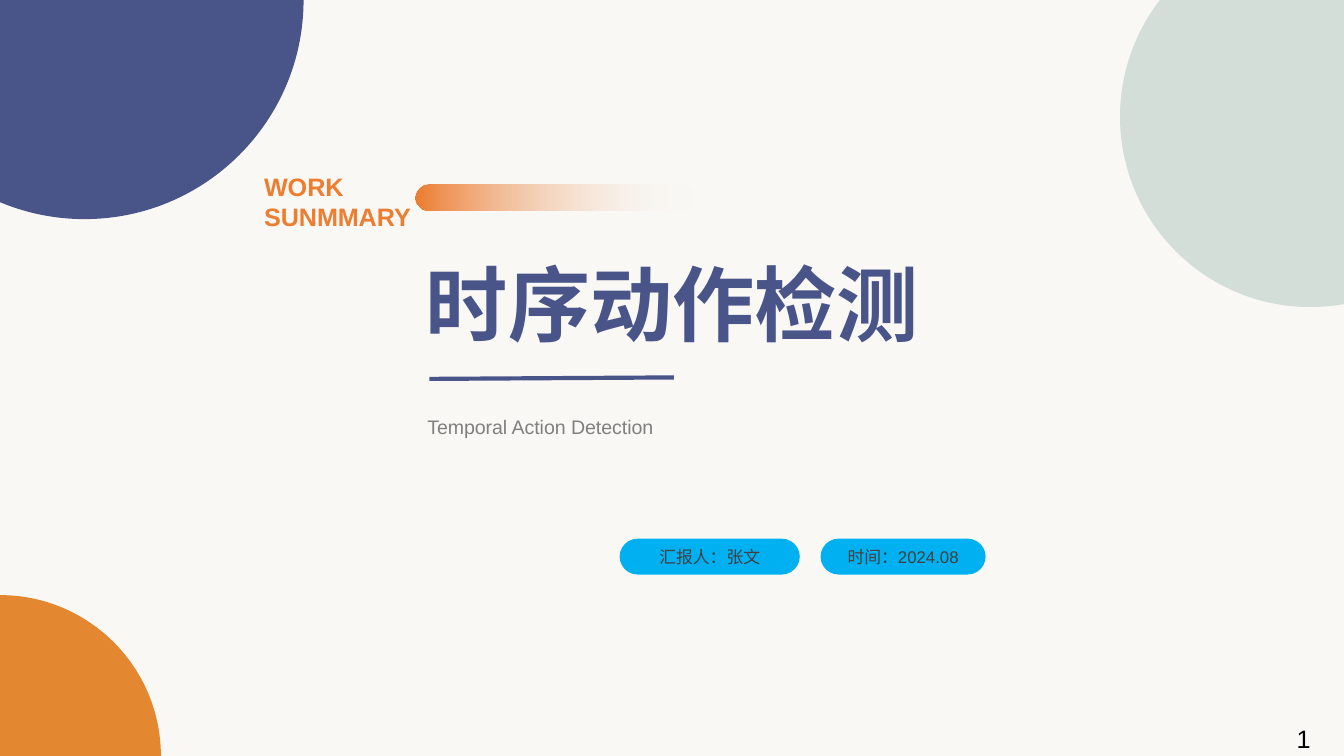
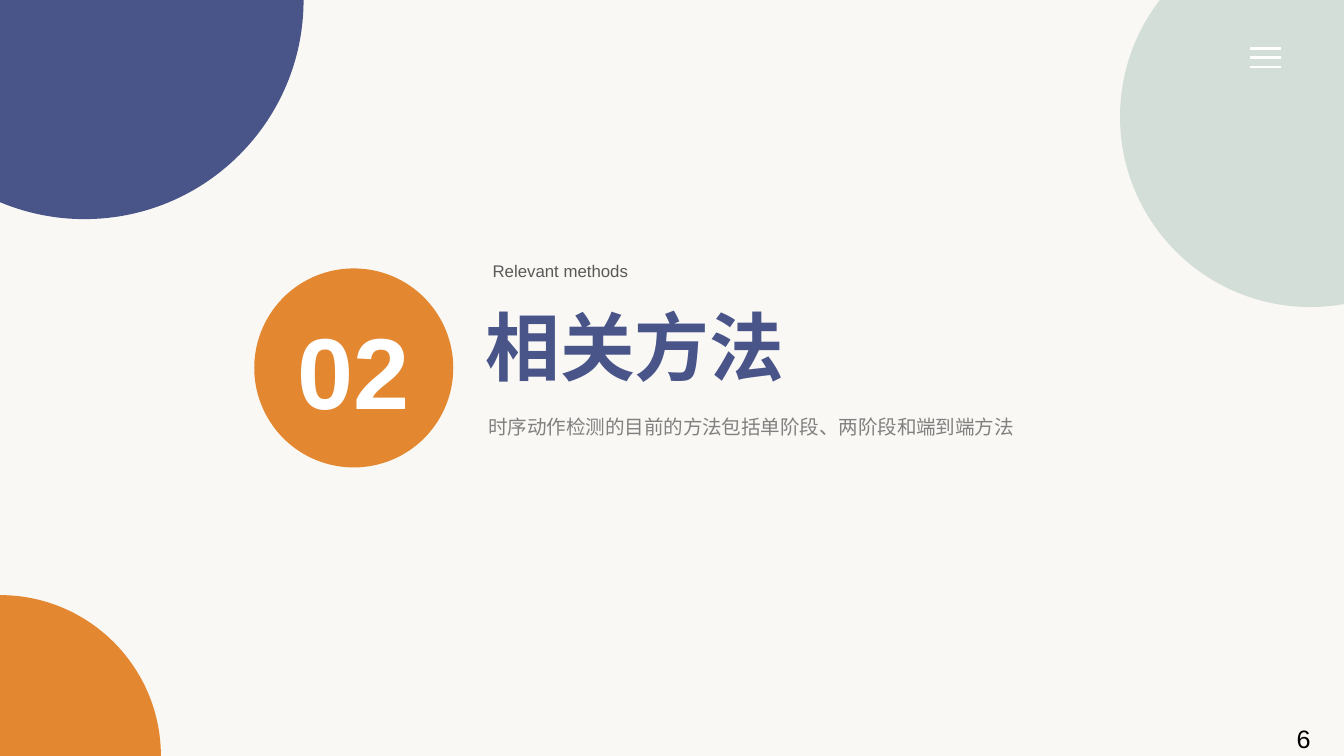
import math
from dataclasses import dataclass

from lxml import etree
from pptx import Presentation
from pptx.dml.color import RGBColor
from pptx.enum import shapes, text
from pptx.oxml import ns
from pptx.util import Pt

# Shared style
CREAM = RGBColor(0xFA, 0xF8, 0xF4)
INDIGO = RGBColor(0x49, 0x55, 0x89)
AMBER = RGBColor(0xE3, 0x87, 0x30)
MINT = RGBColor(0xD3, 0xDE, 0xD8)
ORANGE = RGBColor(0xED, 0x7D, 0x31)
MIST = RGBColor(0xF5, 0xF6, 0xFA)
SKY = RGBColor(0x00, 0xB0, 0xF0)
WHITE = RGBColor(0xFF, 0xFF, 0xFF)
BLACK = RGBColor(0x00, 0x00, 0x00)
GRAY = RGBColor(0x80, 0x80, 0x80)
DARK_GRAY = RGBColor(0x59, 0x59, 0x59)
CHARCOAL = RGBColor(0x40, 0x40, 0x40)

FONT = "Arial"
WIDTH, HEIGHT = 720, 405
LEFT, CENTER = text.PP_ALIGN.LEFT, text.PP_ALIGN.CENTER
TITLE_ONLY = 5


@dataclass(frozen=True)
class Frame:
    left: float
    top: float
    width: float
    height: float

    def lengths(self) -> tuple:
        return Pt(self.left), Pt(self.top), Pt(self.width), Pt(self.height)


@dataclass(frozen=True)
class Style:
    size: float
    color: RGBColor
    bold: bool = False
    align: text.PP_ALIGN = LEFT
    spacing: float = 1.0


@dataclass(frozen=True)
class CornerDisc:
    """A disc cut off by one slide corner; angles run clockwise from the right."""
    corner: tuple
    center: tuple
    radius: float
    angles: tuple
    color: RGBColor

    def point(self, angle: float, tangent: float = 0) -> tuple:
        """Point on the rim, moved along the tangent by a share of the radius."""
        turn = math.radians(angle)
        across = math.cos(turn) - tangent * math.sin(turn)
        down = math.sin(turn) + tangent * math.cos(turn)
        return (Pt(self.center[0] + self.radius * across),
                Pt(self.center[1] + self.radius * down))


@dataclass(frozen=True)
class Pill:
    caption: str
    left: float
    width: float


CORNER_DISCS = (
    CornerDisc((0, 0), (45.2, 0), 117.4, (0, 90, 112.65), INDIGO),
    CornerDisc((0, HEIGHT), (0, HEIGHT), 86.2, (270, 360), AMBER),
    CornerDisc((WIDTH, 0), (702, 62.5), 102, (79.84, 90, 180, 217.79), MINT),
)
PILLS = (Pill("汇报人：张文", 332, 96.5), Pill("时间：2024.08", 439.6, 88.4))

SUBTITLE = Style(10.5, GRAY, spacing=1.5)
PILL_TEXT = Style(9, CHARCOAL, align=CENTER)
KICKER = Style(13.5, ORANGE, bold=True)
OVERLINE = Style(9, DARK_GRAY)
NUMERAL = Style(54, WHITE, bold=True, align=CENTER)
PAGE_NUMBER = Style(13.5, BLACK)


# Drawing helpers
def write(box, content: str, style: Style, wrap: bool = True) -> None:
    frame = box.text_frame
    frame.text = content
    frame.word_wrap = wrap
    for para in frame.paragraphs:
        para.alignment = style.align
        para.line_spacing = style.spacing
        para.font.name = FONT
        para.font.size = Pt(style.size)
        para.font.bold = style.bold
        para.font.color.rgb = style.color


def add_text(page, content: str, frame: Frame, style: Style, wrap: bool = True) -> None:
    write(page.shapes.add_textbox(*frame.lengths()), content, style, wrap)


def set_title(page, content: str, frame: Frame, size: float) -> None:
    title = page.shapes.title
    title.left, title.top, title.width, title.height = frame.lengths()
    write(title, content, Style(size, INDIGO, bold=True))
    title.text_frame.margin_right = 0
    title.text_frame.vertical_anchor = text.MSO_ANCHOR.TOP
    title.text_frame.auto_size = text.MSO_AUTO_SIZE.NONE


def flatten(shape, color: RGBColor) -> None:
    shape.shadow.inherit = False
    shape.line.fill.background()
    shape.fill.solid()
    shape.fill.fore_color.rgb = color


def add_filled(page, kind: shapes.MSO_SHAPE, frame: Frame, color: RGBColor):
    shape = page.shapes.add_shape(kind, *frame.lengths())
    flatten(shape, color)
    return shape


def add_capsule(page, frame: Frame, color: RGBColor):
    capsule = add_filled(page, shapes.MSO_SHAPE.ROUNDED_RECTANGLE, frame, color)
    capsule.adjustments[0] = 0.5
    return capsule


def add_line(page, start: tuple, end: tuple, color: RGBColor, weight: float) -> None:
    line = page.shapes.add_connector(
        shapes.MSO_CONNECTOR.STRAIGHT, *(Pt(value) for value in start + end))
    line.line.color.rgb = color
    line.line.width = Pt(weight)
    etree.SubElement(line.element.spPr, ns.qn("a:effectLst"))


def add_corner_disc(page, disc: CornerDisc):
    builder = page.shapes.build_freeform(*(Pt(value) for value in disc.corner))
    builder.add_line_segments([disc.point(angle) for angle in disc.angles], close=True)
    shape = builder.convert_to_shape()
    flatten(shape, disc.color)

    # Bend each rim segment into a Bézier arc
    segments = list(shape.element.iter(ns.qn("a:lnTo")))[1:]
    for segment, start, end in zip(segments, disc.angles, disc.angles[1:]):
        reach = 4 / 3 * math.tan(math.radians(end - start) / 4)
        curve = etree.Element(ns.qn("a:cubicBezTo"))
        for x, y in (disc.point(start, reach), disc.point(end, -reach), disc.point(end)):
            etree.SubElement(curve, ns.qn("a:pt"),
                             x=str(int(x - shape.left)), y=str(int(y - shape.top)))
        segment.getparent().replace(segment, curve)
    return shape


# Shared backdrop, kept on the slide master
def dress_master(deck, page) -> None:
    master = deck.slide_master
    master.background.fill.solid()
    master.background.fill.fore_color.rgb = CREAM
    for number, disc in enumerate(CORNER_DISCS, start=101):
        element = add_corner_disc(page, disc).element
        element.nvSpPr.cNvPr.set("id", str(number))
        master.shapes.element.append(element)


def add_page(deck):
    return deck.slides.add_slide(deck.slide_layouts[TITLE_ONLY])


def add_page_number(page, number: int) -> None:
    add_text(page, str(number), Frame(687.6, 383.8, 29.5, 23.8), PAGE_NUMBER)


# Cover
def build_cover(page) -> None:
    set_title(page, "时序动作检测", Frame(221, 132.2, 278.6, 60.5), 44)
    add_text(page, "Temporal Action Detection", Frame(221.8, 212.4, 221.8, 26), SUBTITLE)
    add_line(page, (230, 203), (361, 202.2), INDIGO, 2.25)

    for pill in PILLS:
        capsule = add_capsule(page, Frame(pill.left, 288.6, pill.width, 19.2), SKY)
        write(capsule, pill.caption, PILL_TEXT)
        capsule.text_frame.vertical_anchor = text.MSO_ANCHOR.MIDDLE

    # Kicker and its fading bar
    add_text(page, "WORK\nSUNMMARY", Frame(134.4, 88.3, 116.6, 39.6), KICKER)
    bar = add_capsule(page, Frame(222.4, 98.8, 149.8, 14.2), ORANGE)
    bar.fill.gradient()
    bar.fill.gradient_angle = 180
    for stop, color in zip(bar.fill.gradient_stops, (MIST, ORANGE)):
        stop.color.rgb = color
    clear_stop = bar.element.spPr.find(".//" + ns.qn("a:srgbClr"))
    etree.SubElement(clear_stop, ns.qn("a:alpha"), val="0")

    add_page_number(page, 1)


# Section opener
def build_section(page) -> None:
    for row in range(3):
        y = 25.9 + 5 * row
        add_line(page, (669.6, y), (686.2, y), WHITE, 1.5)

    set_title(page, "相关方法", Frame(253, 157.7, 174.2, 55.4), 40)
    add_text(page, "时序动作检测的目前的方法包括单阶段、两阶段和端到端方法",
             Frame(254.6, 212.4, 301.7, 26), SUBTITLE)
    add_text(page, "Relevant methods", Frame(256.8, 136.1, 87.1, 18), OVERLINE, wrap=False)

    add_filled(page, shapes.MSO_SHAPE.OVAL, Frame(136.2, 143.8, 106.6, 106.6), AMBER)
    add_text(page, "02", Frame(147.4, 162, 84.2, 72.7), NUMERAL)
    add_page_number(page, 6)


def main() -> None:
    deck = Presentation()
    deck.slide_width, deck.slide_height = Pt(WIDTH), Pt(HEIGHT)
    cover = add_page(deck)
    dress_master(deck, cover)
    build_cover(cover)
    build_section(add_page(deck))
    deck.save("out.pptx")


if __name__ == "__main__":
    main()
